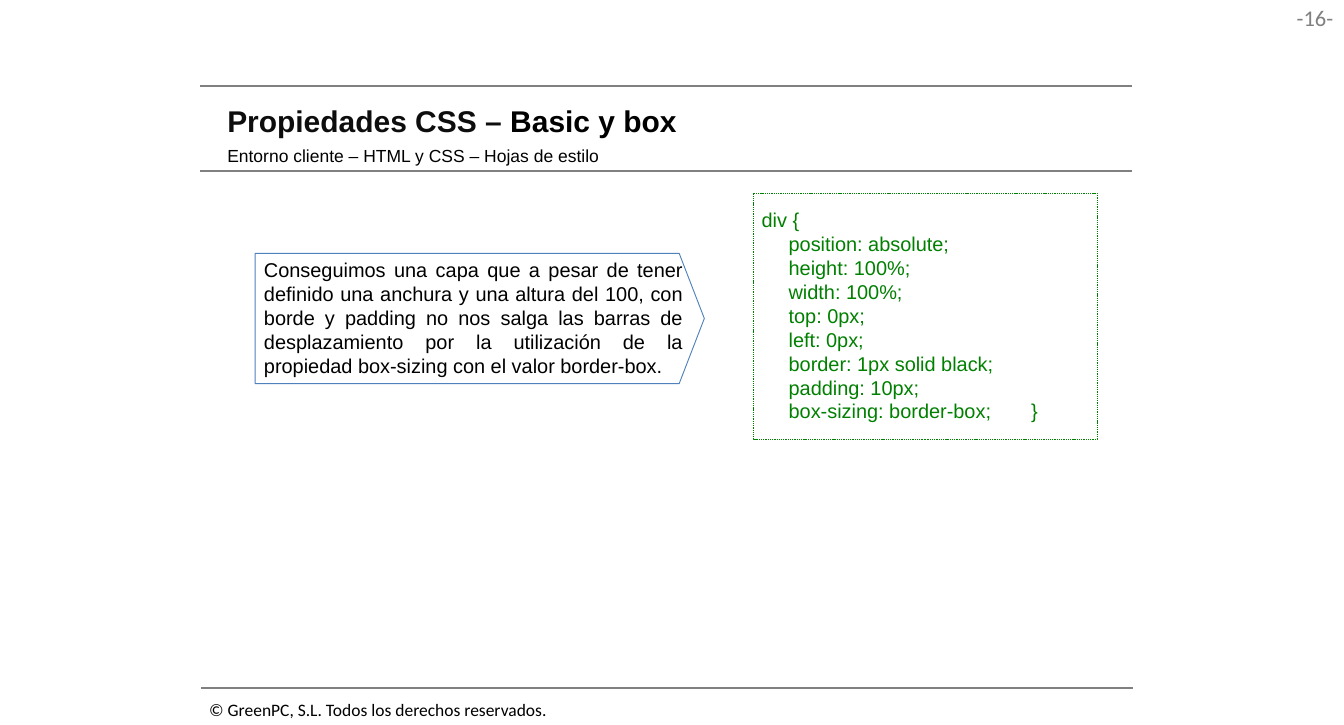
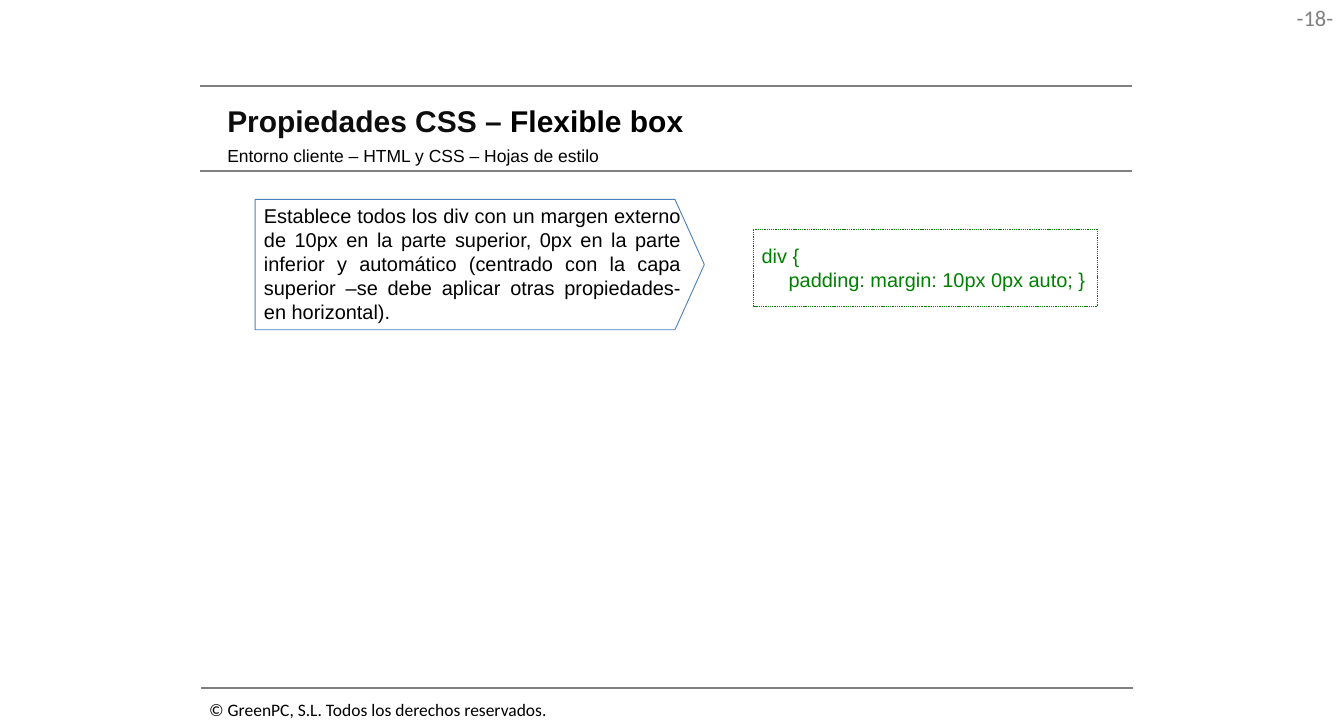
"""Builds two slides on CSS box properties, each pairing an explanation with its code."""
from lxml import etree
from pptx import Presentation
from pptx.dml.color import RGBColor
from pptx.enum.dml import MSO_LINE
from pptx.enum.shapes import MSO_CONNECTOR, MSO_SHAPE
from pptx.enum.text import MSO_ANCHOR, MSO_AUTO_SIZE, PP_ALIGN
from pptx.oxml.ns import qn
from pptx.util import Inches, Pt

COLORS = {"text": "000000", "heading": "0D0D0D", "rule": "808080",
          "code": "008000", "arrow": "4F81BD", "paper": "FFFFFF"}

TITLE_PREFIX = "Propiedades CSS – "
SUBTITLE = "Entorno cliente – HTML y CSS – Hojas de estilo"
COPYRIGHT = "© GreenPC, S.L. Todos los derechos reservados."
RULES = [(2.23, 0.96), (2.23, 1.9), (2.24, 7.66)]
RULE_WIDTH = 10.37
HEADING_INSETS = (0.13, 0.07)

PAGES = [
    {
        "number": "-16-",
        "topic": "Basic y box",
        "explanation": "Conseguimos una capa que a pesar de tener definido una anchura y "
                       "una altura del 100, con borde y padding no nos salga las barras de "
                       "desplazamiento por la utilización de la propiedad box-sizing con el "
                       "valor border-box.",
        "arrow_top": 2.82,
        "arrow_point": 0.193,
        "code": ["div {", "\tposition: absolute;", "\theight: 100%;", "\twidth: 100%;",
                 "\ttop: 0px;", "\tleft: 0px;", "\tborder: 1px solid black;",
                 "\tpadding: 10px;", "\tbox-sizing: border-box;\t}"],
        "code_top": 2.15,
        "code_height": 2.74,
    },
    {
        "number": "-18-",
        "topic": "Flexible box",
        "explanation": "Establece todos los div con un margen externo de 10px en la parte "
                       "superior, 0px en la parte inferior y automático (centrado con la "
                       "capa superior –se debe aplicar otras propiedades- en horizontal).",
        "arrow_top": 2.22,
        "arrow_point": 0.225,
        "code": ["div {", "\tpadding: margin: 10px 0px auto; }"],
        "code_top": 2.55,
        "code_height": 0.86,
    },
]


def color(name):
    return RGBColor.from_string(COLORS[name])


def set_font(font, size, name, face="Arial", bold=False):
    font.size, font.name, font.bold = Pt(size), face, bold
    font.color.rgb = color(name)


def set_frame(frame, insets=(0.1, 0.05), anchor=MSO_ANCHOR.TOP, wrap=True):
    frame.auto_size = MSO_AUTO_SIZE.NONE
    frame.word_wrap = wrap
    frame.vertical_anchor = anchor
    frame.margin_left = frame.margin_right = Inches(insets[0])
    frame.margin_top = frame.margin_bottom = Inches(insets[1])


def add_label(slide, box, text, size, name, face, align=PP_ALIGN.LEFT, **frame_options):
    label = slide.shapes.add_textbox(*map(Inches, box))
    set_frame(label.text_frame, **frame_options)
    paragraph = label.text_frame.paragraphs[0]
    paragraph.text, paragraph.alignment = text, align
    set_font(paragraph.font, size, name, face)
    return label


def add_panel(slide, preset, box, line, width):
    panel = slide.shapes.add_shape(preset, *map(Inches, box))
    panel.shadow.inherit = False
    panel.line.color.rgb = color(line)
    panel.line.width = Pt(width)
    return panel


def add_rule(slide, left, top):
    rule = slide.shapes.add_connector(MSO_CONNECTOR.STRAIGHT, Inches(left), Inches(top),
                                      Inches(left + RULE_WIDTH), Inches(top))
    rule.line.color.rgb = color("rule")
    rule.line.width = Pt(1.5)
    etree.SubElement(rule.element.spPr, qn("a:effectLst"))
    return rule


def furnish_layout(layout, slide):
    furniture = [add_rule(slide, left, top) for left, top in RULES]
    furniture.append(add_label(slide, (2.23, 7.73, 3.99, 0.34), COPYRIGHT, 14, "text",
                               "Calibri", wrap=False))
    for part in furniture:
        layout.shapes.element.append(part.element)


def add_heading(slide, topic):
    title = slide.shapes.title
    title.left, title.top, title.width, title.height = map(Inches, (2.4, 1.07, 10.12, 0.54))
    set_frame(title.text_frame, HEADING_INSETS, MSO_ANCHOR.MIDDLE)
    paragraph = title.text_frame.paragraphs[0]
    paragraph.alignment = PP_ALIGN.LEFT
    for text, name in ((TITLE_PREFIX, "heading"), (topic, "text")):
        run = paragraph.add_run()
        run.text = text
        set_font(run.font, 24, name, bold=True)
    add_label(slide, (2.4, 1.55, 7.6, 0.37), SUBTITLE, 14, "text", "Arial",
              insets=HEADING_INSETS, anchor=MSO_ANCHOR.MIDDLE)


def add_code(slide, lines, top, height):
    panel = add_panel(slide, MSO_SHAPE.RECTANGLE, (8.38, top, 3.83, height), "code", 0.25)
    panel.line.dash_style = MSO_LINE.DASH
    panel.fill.solid()
    panel.fill.fore_color.rgb = color("paper")
    frame = panel.text_frame
    set_frame(frame, (0.1, 0.16))
    for index, line in enumerate(lines):
        paragraph = frame.add_paragraph() if index else frame.paragraphs[0]
        paragraph.text, paragraph.alignment = line, PP_ALIGN.LEFT
        if line.startswith("\t"):
            tabs = etree.SubElement(paragraph._p.get_or_add_pPr(), qn("a:tabLst"))
            etree.SubElement(tabs, qn("a:tab"), pos=str(Inches(0.3)), algn="l")
        set_font(paragraph.font, 16, "code")


def add_explanation(slide, text, top, point):
    arrow = add_panel(slide, MSO_SHAPE.PENTAGON, (2.84, top, 5, 1.45), "arrow", 0.75)
    arrow.adjustments[0] = point
    arrow.fill.background()
    set_frame(arrow.text_frame)
    paragraph = arrow.text_frame.paragraphs[0]
    paragraph.text, paragraph.alignment = text, PP_ALIGN.JUSTIFY
    set_font(paragraph.font, 16, "text")


def main():
    deck = Presentation()
    deck.slide_width, deck.slide_height = Inches(14.96), Inches(8.07)
    layout = deck.slide_layouts[5]
    for index, page in enumerate(PAGES):
        slide = deck.slides.add_slide(layout)
        if index == 0:
            furnish_layout(layout, slide)
        add_label(slide, (14.13, 0, 0.82, 0.41), page["number"], 18, "rule", "Calibri",
                  PP_ALIGN.RIGHT, insets=(0.11, 0.05))
        add_heading(slide, page["topic"])
        add_code(slide, page["code"], page["code_top"], page["code_height"])
        add_explanation(slide, page["explanation"], page["arrow_top"], page["arrow_point"])
    deck.save("out.pptx")


if __name__ == "__main__":
    main()
